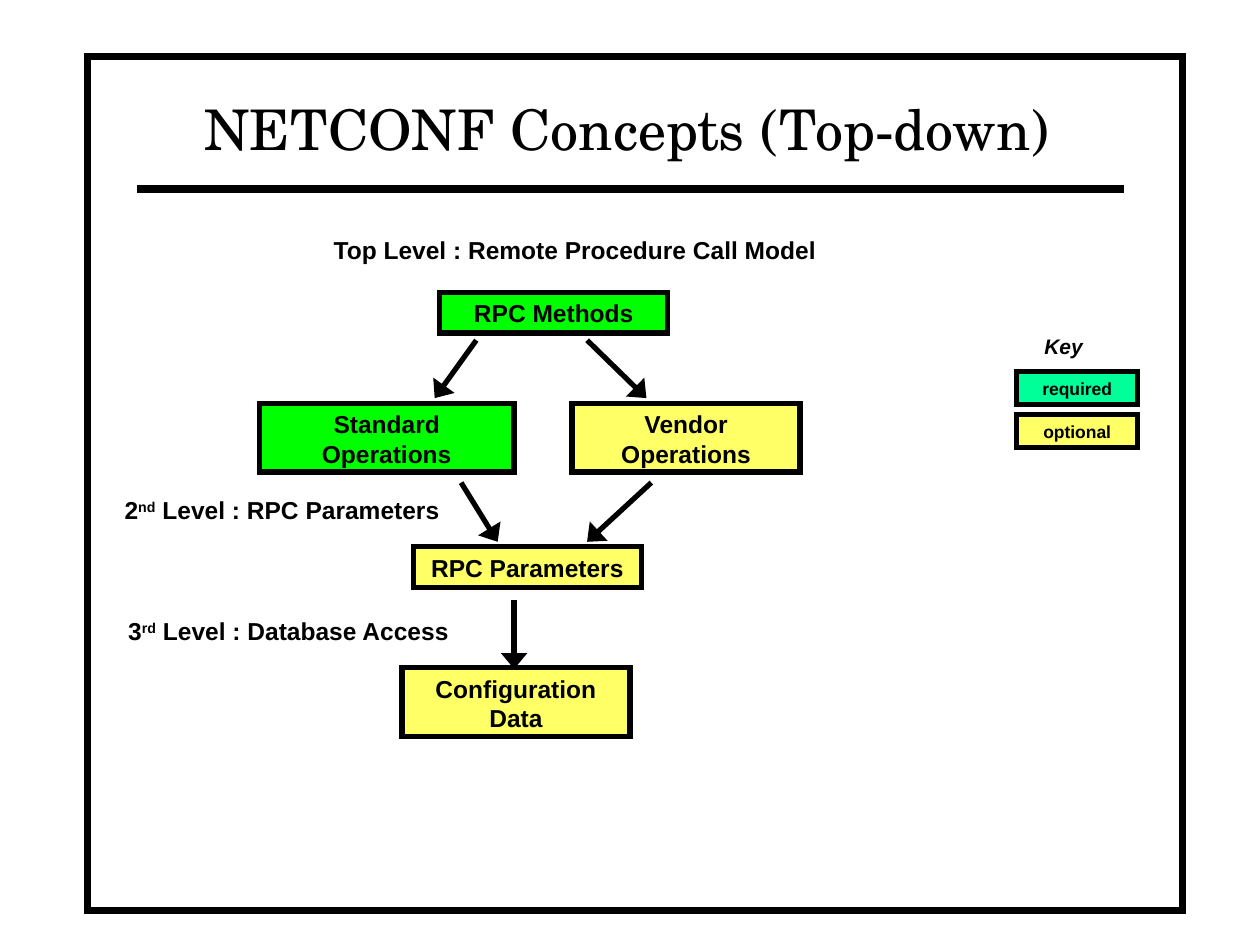
from lxml import etree
from pptx import Presentation
from pptx.dml.color import RGBColor
from pptx.enum.shapes import MSO_CONNECTOR, MSO_SHAPE
from pptx.enum.text import MSO_ANCHOR, PP_ALIGN
from pptx.oxml.ns import qn
from pptx.util import Pt

RECT = MSO_SHAPE.RECTANGLE
LINE = MSO_CONNECTOR.STRAIGHT
TOP, BOTTOM = MSO_ANCHOR.TOP, MSO_ANCHOR.BOTTOM
LEFT, CENTER = PP_ALIGN.LEFT, PP_ALIGN.CENTER

THEME = {
    "ink": "000000", "paper": "FFFFFF",
    "green": "00FF00", "mint": "00FF99", "yellow": "FFFF66",
    "serif": "TeX Gyre Schola", "sans": "Arial",
    "title": 32, "body": 14, "key": 12, "small": 10,
    "frame": 4, "rule": 4.5, "edge": 3,
}

# Content: lengths in points
TITLE = "NETCONF Concepts (Top-down)"
WIDE, WIDTH = 145.4, 130.3
ROW = 16.1     # height of one line of body text
PAD = 7.2      # top and bottom insets together

# text, left, top, width, lines, fill
BOXES = [
    ("RPC Methods", 251.3, 167, WIDTH, 1, "green"),
    ("Standard Operations", 148.3, 230.4, WIDE, 2, "green"),
    ("Vendor Operations", 326.9, 230.4, WIDTH, 2, "yellow"),
    ("RPC Parameters", 236.2, 312.5, WIDTH, 1, "yellow"),
    ("Configuration\vData", 229.7, 381.6, WIDTH, 2, "yellow"),
]
# text pieces (number, raised ending, rest), left, top, width
LEVELS = [
    (("", "", "Top Level : Remote Procedure Call Model"), 183.6, 131, 290.9),
    (("2", "nd", " Level : RPC Parameters"), 64.1, 279.4, 194.4),
    (("3", "rd", " Level : Database Access"), 66.2, 348.5, 198),
]
ARROWS = [
    (272.2, 194.4, 248.4, 227.5),
    (335.5, 194.4, 369.4, 227.5),
    (263.5, 275.8, 284.4, 309.6),
    (372.2, 275.8, 335.5, 309.6),
    (293.8, 342.7, 293.8, 382.3),
]
KEY = [("required", "mint"), ("optional", "yellow")]
KEY_LEFT, KEY_TOP, KEY_STEP = 581, 212.4, 24.5

prs = Presentation()
prs.slide_width, prs.slide_height = Pt(720), Pt(540)
slide = prs.slides.add_slide(prs.slide_layouts[6])
shapes = slide.shapes


def color(name):
    return RGBColor.from_string(THEME[name])


def write(shape, parts, size, align=CENTER, anchor=TOP, wrap=True,
          face="sans", bold=True, italic=False):
    """Fill a shape with one paragraph; the second of three parts is raised."""
    frame = shape.text_frame
    frame.word_wrap, frame.vertical_anchor = wrap, anchor
    para = frame.paragraphs[0]
    para.alignment = align
    for i, part in enumerate(parts):
        if not part:
            continue
        if "\v" in part:
            para.text = part
            continue
        run = para.add_run()
        run.text = part
        if i == 1:
            run.font._element.set("baseline", "30000")
    font = para.font
    font.name, font.size = THEME[face], Pt(THEME[size])
    font.bold, font.italic = bold, italic
    font.color.rgb = color("ink")


def stroke(shape, edge):
    """Draw a black outline with square corners; return its XML element."""
    shape.line.color.rgb = color("ink")
    shape.line.width = Pt(THEME[edge])
    pen = shape._element.spPr.find(qn("a:ln"))
    etree.SubElement(pen, qn("a:miter"), lim="800000")
    return pen


def box(x, y, w, h, fill, edge="edge"):
    shape = shapes.add_shape(RECT, Pt(x), Pt(y), Pt(w), Pt(h))
    shape.shadow.inherit = False
    shape.fill.solid()
    shape.fill.fore_color.rgb = color(fill)
    stroke(shape, edge)
    return shape


def label(x, y, w, h):
    return shapes.add_textbox(Pt(x), Pt(y), Pt(w), Pt(h))


def line(x1, y1, x2, y2, edge="edge", arrow=True):
    link = shapes.add_connector(LINE, Pt(x1), Pt(y1), Pt(x2), Pt(y2))
    pen = stroke(link, edge)
    if arrow:
        etree.SubElement(pen, qn("a:tailEnd"), type="triangle", w="lg", len="med")
    etree.SubElement(link._element.spPr, qn("a:effectLst"))


# Frame, title and rule
box(50, 32, 625.7, 488.2, "paper", "frame")
line(78.5, 108, 642.2, 108, "rule", arrow=False)
write(label(77.8, 41.8, 560.9, 54), [TITLE], "title",
      anchor=BOTTOM, face="serif", bold=False)

# Flow boxes, level labels and arrows
for text, x, y, w, rows, fill in BOXES:
    write(box(x, y, w, rows * ROW + PAD, fill), [text], "body")
for parts, x, y, w in LEVELS:
    write(label(x, y, w, ROW + PAD), parts, "body", align=LEFT, wrap=False)
for ends in ARROWS:
    line(*ends)

# Key
write(label(589.7, 187.2, 50, 20.9), ["Key"], "key",
      align=LEFT, wrap=False, italic=True)
for i, (text, fill) in enumerate(KEY):
    write(box(KEY_LEFT, KEY_TOP + i * KEY_STEP, 69.1, 18.7, fill), [text], "small")

prs.save("out.pptx")
